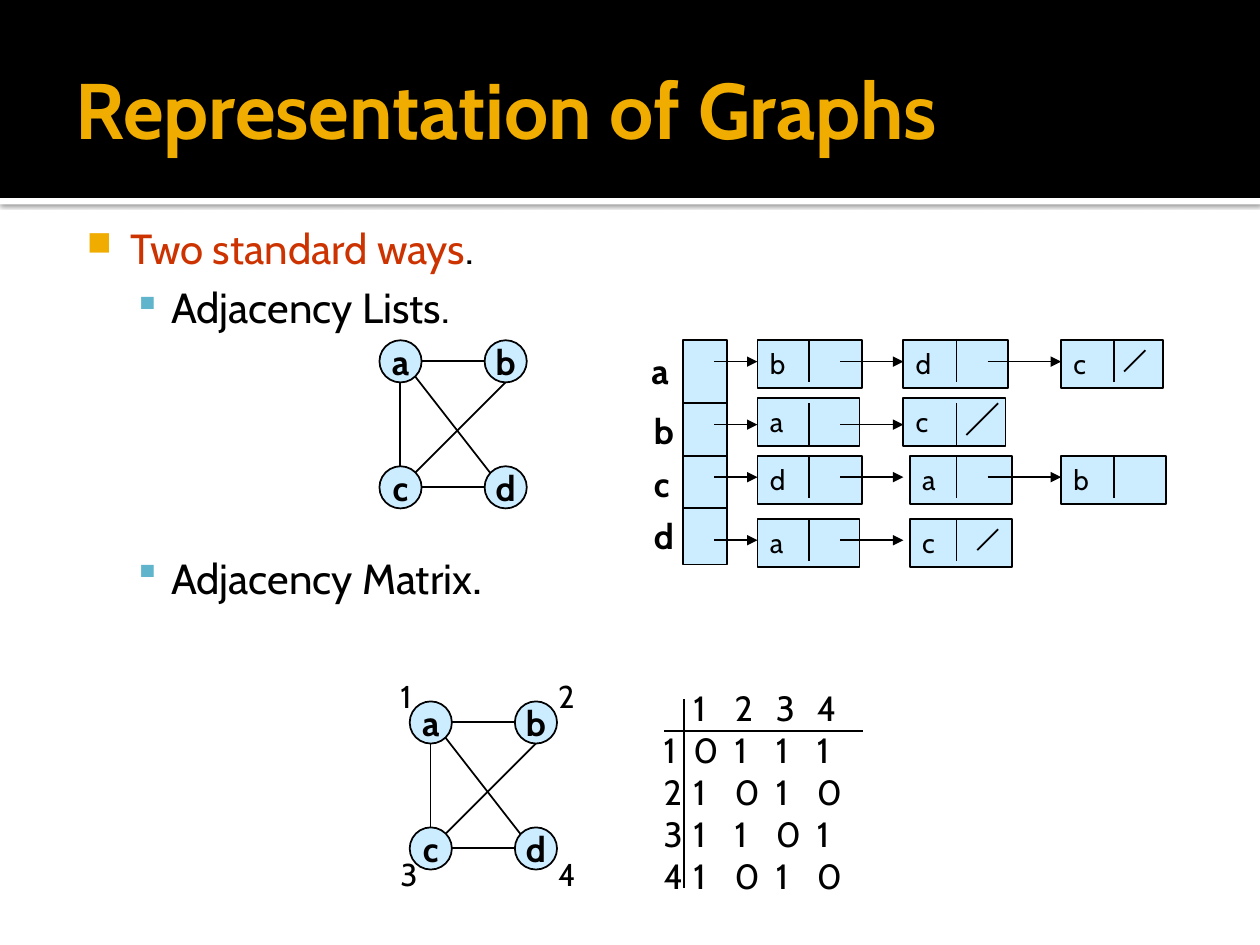
from lxml import etree
from pptx import Presentation
from pptx import util as u
from pptx.dml.color import RGBColor
from pptx.enum import shapes, text
from pptx.oxml.ns import qn

BLACK, WHITE, GOLD = "000000", "FFFFFF", "F0AD00"
RED, TEAL, PALE = "CC3300", "60B5CC", "CCECFF"


def color(value):
    return RGBColor.from_string(value)


def add_run(paragraph, content, size=20, ink=BLACK, bold=False):
    run = paragraph.add_run()
    run.text = content
    run.font.name = "Cabin"
    run.font.size = u.Pt(size)
    run.font.bold = bold
    run.font.color.rgb = color(ink)


def write(frame, content, align=text.PP_ALIGN.LEFT, anchor=text.MSO_ANCHOR.TOP,
          insets=(0.25, 0.13, 0.25, 0.13), **style):
    frame.word_wrap = True
    frame.vertical_anchor = anchor
    (frame.margin_left, frame.margin_top,
     frame.margin_right, frame.margin_bottom) = map(u.Cm, insets)
    paragraph = frame.paragraphs[0]
    paragraph.alignment = align
    add_run(paragraph, content, **style)


def add_bullet(paragraph, char, ink, size, left, hanging):
    props = paragraph._p.get_or_add_pPr()
    props.set("marL", str(u.Cm(left)))
    props.set("indent", str(-u.Cm(hanging)))
    bullet_color = etree.SubElement(props, qn("a:buClr"))
    etree.SubElement(bullet_color, qn("a:srgbClr"), val=ink)
    etree.SubElement(props, qn("a:buSzPct"), val=str(size * 1000))
    etree.SubElement(props, qn("a:buChar"), char=char)


def add_tabs(paragraph, stops):
    tabs = etree.SubElement(paragraph._p.get_or_add_pPr(), qn("a:tabLst"))
    for stop in stops:
        etree.SubElement(tabs, qn("a:tab"), pos=str(u.Cm(stop)), algn="l")


class Board:
    """Style and element methods for one slide; lengths are centimetres."""

    def __init__(self, slide):
        self.slide = slide

    def box(self, x, y, w, h, kind=shapes.MSO_SHAPE.RECTANGLE, fill=PALE, outlined=True):
        shape = self.slide.shapes.add_shape(kind, *map(u.Cm, (x, y, w, h)))
        shape.shadow.inherit = False
        shape.fill.solid()
        shape.fill.fore_color.rgb = color(fill)
        if outlined:
            shape.line.color.rgb = color(BLACK)
            shape.line.width = u.Pt(1)
        else:
            shape.line.fill.background()
        return shape

    def line(self, x1, y1, x2, y2, arrow=False):
        link = self.slide.shapes.add_connector(
            shapes.MSO_CONNECTOR.STRAIGHT, *map(u.Cm, (x1, y1, x2, y2)))
        link.line.color.rgb = color(BLACK)
        link.line.width = u.Pt(1)
        if arrow:
            etree.SubElement(link.line._get_or_add_ln(), qn("a:tailEnd"), type="triangle")
        etree.SubElement(link._element.spPr, qn("a:effectLst"))

    def frame(self, x, y, w, h):
        return self.slide.shapes.add_textbox(*map(u.Cm, (x, y, w, h))).text_frame

    def label(self, x, y, content, **style):
        write(self.frame(x, y, 0.9, 1.05), content, **style)

    def graph(self, x, y):
        size, across, down = 0.85, 2.12, 2.54
        edges = [(0.85, 0.42, 2.12, 0.42), (0.85, 2.96, 2.12, 2.96),
                 (0.42, 0.85, 0.42, 2.54), (2.54, 0.85, 0.72, 2.67),
                 (0.72, 0.73, 2.23, 2.67)]
        for x1, y1, x2, y2 in edges:
            self.line(x + x1, y + y1, x + x2, y + y2)
        for index, name in enumerate("abcd"):
            row, column = divmod(index, 2)
            node = self.box(x + column * across, y + row * down, size, size,
                            shapes.MSO_SHAPE.OVAL)
            write(node.text_frame, name, align=text.PP_ALIGN.CENTER,
                  anchor=text.MSO_ANCHOR.MIDDLE, insets=(0, 0, 0, 0), bold=True)

    def list_row(self, cell_top, rule_top, cells):
        for (name, left, width), divider in zip(cells, (16.31, 19.28, 22.45)):
            cell = self.box(left, cell_top, width, 0.97)
            write(cell.text_frame, name, size=16)
            self.line(divider, rule_top, divider, rule_top + 0.84)
        for _, start, end in zip(cells, (14.4, 16.94, 19.91), (15.27, 18.21, 21.39)):
            self.line(start, rule_top + 0.43, end, rule_top + 0.43, arrow=True)


def main():
    deck = Presentation()
    deck.slide_width, deck.slide_height = u.Cm(25.4), u.Cm(19.05)
    slide = deck.slides.add_slide(deck.slide_layouts[5])
    board = Board(slide)

    # Header band with a shadowed white rule
    rule = board.box(0, 3.99, 25.4, 0.13, fill=WHITE, outlined=False)
    effects = rule._element.spPr.find(qn("a:effectLst"))
    shadow = etree.SubElement(effects, qn("a:outerShdw"), blurRad=str(u.Pt(2.5)),
                              dist=str(u.Pt(0.8)), dir="5400000", rotWithShape="0")
    shade = etree.SubElement(shadow, qn("a:srgbClr"), val=BLACK)
    etree.SubElement(shade, qn("a:alpha"), val="60000")
    band = board.box(0, 0, 25.4, 3.99, fill=BLACK, outlined=False)

    # Title, brought in front of the band
    title = slide.shapes.title
    band._element.addnext(title._element)
    title.left, title.top, title.width, title.height = map(u.Cm, (1.27, 0.43, 22.86, 3.48))
    write(title.text_frame, "Representation of Graphs", size=45, ink=GOLD, bold=True,
          anchor=text.MSO_ANCHOR.MIDDLE, insets=(0.25, 0.13, 0.13, 0.13))

    # Bulleted outline
    outline = board.frame(1.27, 4.24, 22.86, 13.54)
    write(outline, "Two standard ways", size=24, ink=RED, insets=(0.15, 0.25, 0.25, 0.13))
    heading = outline.paragraphs[0]
    add_run(heading, ".", size=24)
    add_bullet(heading, "■", GOLD, 80, 1.22, 0.89)
    for topic, gap, stop_size in (("Adjacency Lists", 5, 24), ("Adjacency Matrix", 122, 28)):
        item = outline.add_paragraph()
        item.level = 1
        item.space_before = u.Pt(gap)
        add_bullet(item, "▪", TEAL, 90, 2.03, 0.76)
        add_run(item, topic, size=24)
        add_run(item, ".", size=stop_size)

    # Graph beside its adjacency lists
    board.graph(7.65, 6.86)
    board.box(13.77, 6.86, 0.89, 4.52)
    for name, x, y in zip("abcd", (12.88, 12.93, 12.93, 12.93), (6.91, 8.13, 9.19, 10.24)):
        board.label(x, y, name, bold=True)
        if name != "a":
            board.line(13.77, y, 14.63, y)
    board.list_row(6.86, 6.86, [("b", 15.27, 2.11), ("d", 18.21, 2.11), ("c", 21.39, 2.06)])
    board.list_row(8.03, 8.13, [("a", 15.27, 2.06), ("c", 18.21, 2.06)])
    board.list_row(9.19, 9.19, [("d", 15.27, 2.11), ("a", 18.34, 2.06), ("b", 21.39, 2.11)])
    board.list_row(10.46, 10.46, [("a", 15.27, 2.06), ("c", 18.34, 2.06)])

    # Slashes that end a list
    for right, top, length in ((23.09, 7.06, 0.43), (20.12, 8.13, 0.64), (20.12, 10.67, 0.42)):
        board.line(right, top, right - length, top + length)

    # Numbered graph
    board.graph(8.26, 14.14)
    for index in range(4):
        row, column = divmod(index, 2)
        board.label(7.82 + column * 3.18, 13.51 + row * 3.59, str(index + 1), size=18)

    # Adjacency matrix
    matrix = board.frame(13.13, 13.72, 4.6, 4.5)
    matrix.word_wrap = True
    rows = ["\t1\t2\t3\t4", "1\t0\t1\t1\t1", "2\t1\t0\t1\t0", "3\t1\t1\t0\t1", "4\t1\t0\t1\t0"]
    for index, entries in enumerate(rows):
        paragraph = matrix.add_paragraph() if index else matrix.paragraphs[0]
        add_tabs(paragraph, [0.6 + 0.83 * column for column in range(4)])
        add_run(paragraph, entries)
    board.line(13.39, 14.73, 17.4, 14.73)
    board.line(13.79, 14.1, 13.79, 17.91)

    deck.save("out.pptx")


if __name__ == "__main__":
    main()
